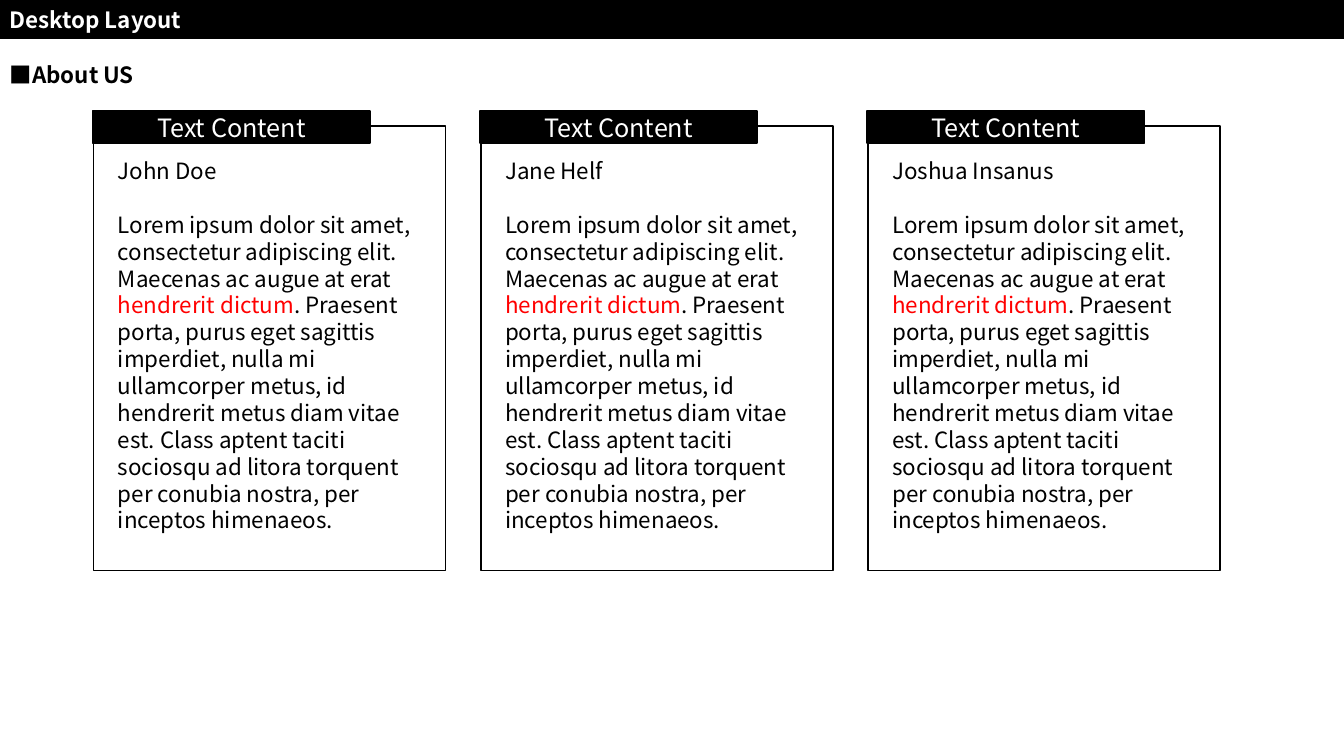
from lxml import etree
from pptx import Presentation
from pptx.dml.color import RGBColor
from pptx.enum.shapes import MSO_SHAPE
from pptx.enum.text import MSO_ANCHOR, MSO_AUTO_SIZE, PP_ALIGN
from pptx.oxml.ns import qn
from pptx.util import Inches, Pt

RECTANGLE = MSO_SHAPE.RECTANGLE
TOP, MIDDLE = MSO_ANCHOR.TOP, MSO_ANCHOR.MIDDLE
LEFT, CENTER = PP_ALIGN.LEFT, PP_ALIGN.CENTER
GROW = MSO_AUTO_SIZE.SHAPE_TO_FIT_TEXT
BLACK = RGBColor(0x00, 0x00, 0x00)
WHITE = RGBColor(0xFF, 0xFF, 0xFF)
RED = RGBColor(0xFF, 0x00, 0x00)
FONT = "Noto Sans CJK KR"

SLIDE_W, SLIDE_H = 13.33, 7.5
CARD_LEFT, CARD_TOP, CARD_W, CARD_H = 0.93, 1.25, 3.49, 4.41
CARD_PITCH = 3.84
TAB_W, TAB_H = 2.75, 0.32
PAD_X, PAD_Y = 0.24, 0.31

NAMES = ["John Doe", "Jane Helf", "Joshua Insanus"]
BIOGRAPHY = [
    ("Lorem ipsum dolor sit amet, consectetur adipiscing elit. "
     "Maecenas ac augue at erat ", BLACK),
    ("hendrerit dictum", RED),
    (". Praesent porta, purus eget sagittis imperdiet, nulla mi ullamcorper "
     "metus, id hendrerit metus diam vitae est. Class aptent taciti sociosqu "
     "ad litora torquent per conubia nostra, per inceptos himenaeos.", BLACK),
]


def add_box(shapes, left, top, width, height, fill, anchor):
    """Add a black-outlined rectangle whose text starts at the given anchor."""
    box = shapes.add_shape(RECTANGLE, Inches(left), Inches(top),
                           Inches(width), Inches(height))
    box.shadow.inherit = False
    box.fill.solid()
    box.fill.fore_color.rgb = fill
    box.line.color.rgb = BLACK
    box.line.width = Pt(1)
    box.text_frame.word_wrap = True
    box.text_frame.vertical_anchor = anchor
    return box


def write(paragraph, text, color, size=16, bold=False, align=LEFT):
    paragraph.alignment = align
    run = paragraph.add_run()
    run.text = text
    run.font.name = FONT
    run.font.size = Pt(size)
    run.font.bold = bold
    run.font.color.rgb = color
    east_asian = etree.SubElement(run.font._element, qn("a:ea"))
    east_asian.set("typeface", FONT)


prs = Presentation()
prs.slide_width, prs.slide_height = Inches(SLIDE_W), Inches(SLIDE_H)
slide = prs.slides.add_slide(prs.slide_layouts[6])

title_bar = add_box(slide.shapes, 0, 0, SLIDE_W, 0.38, BLACK, MIDDLE)
write(title_bar.text_frame.paragraphs[0], "Desktop Layout", WHITE, bold=True)

section = slide.shapes.add_textbox(0, Inches(0.56), Inches(SLIDE_W), Inches(0.37))
section.text_frame.word_wrap = True
section.text_frame.auto_size = GROW
write(section.text_frame.paragraphs[0], "■About US", BLACK, bold=True)

for column, name in enumerate(NAMES):
    left = CARD_LEFT + column * CARD_PITCH
    group = slide.shapes.add_group_shape()

    card = add_box(group.shapes, left, CARD_TOP, CARD_W, CARD_H, WHITE, TOP)
    profile = card.text_frame
    profile.auto_size = GROW
    profile.margin_left = profile.margin_right = Inches(PAD_X)
    profile.margin_top = profile.margin_bottom = Inches(PAD_Y)
    write(profile.paragraphs[0], name, BLACK)
    profile.paragraphs[0].space_after = Pt(19.2)
    biography = profile.add_paragraph()
    for text, color in BIOGRAPHY:
        write(biography, text, color)

    tab = add_box(group.shapes, left - 0.01, 1.1, TAB_W, TAB_H, BLACK, MIDDLE)
    write(tab.text_frame.paragraphs[0], "Text Content", WHITE, size=18, align=CENTER)

prs.save("out.pptx")
